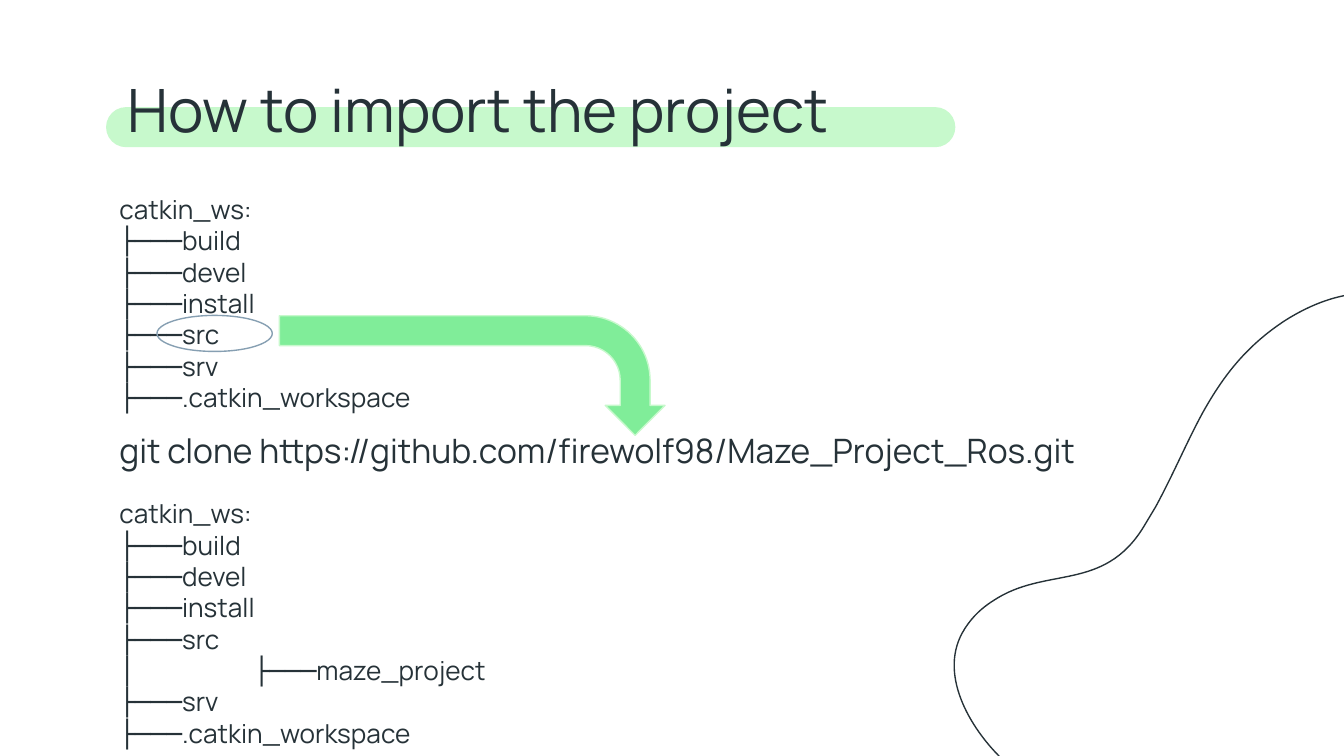
from dataclasses import dataclass

from lxml.etree import SubElement
from pptx import Presentation
from pptx.dml.color import RGBColor
from pptx.enum.shapes import MSO_SHAPE
from pptx.enum.text import MSO_ANCHOR, MSO_AUTO_SIZE, PP_ALIGN
from pptx.oxml.ns import qn
from pptx.util import Pt

FONT = "Manrope"
HEX = {"ink": "263238", "mint": "C7F9CC", "green": "80ED99", "slate": "869FB2"}
INCH = 72
FINE = 100  # outline units per point

ROOT = "catkin_ws:"
STEM = "├───"
HEAD = ["build", "devel", "install", "src"]
TAIL = ["srv", ".catkin_workspace"]


@dataclass
class Box:
    x: float
    y: float
    w: float
    h: float


@dataclass
class Block:
    box: Box
    lines: list[str]
    size: float


@dataclass
class Form:
    kind: MSO_SHAPE
    box: Box
    fill: str = ""
    line: str = ""
    turn: float = 0
    adj: tuple = ()


def tint(name: str) -> RGBColor:
    return RGBColor.from_string(HEX[name])


def place(box: Box) -> list[Pt]:
    return [Pt(v) for v in (box.x, box.y, box.w, box.h)]


def paint(shape, fill: str, line: str) -> None:
    shape.shadow.inherit = False
    if fill:
        shape.fill.solid()
        shape.fill.fore_color.rgb = tint(fill)
    else:
        shape.fill.background()
    if line:
        shape.line.color.rgb = tint(line)
        shape.line.width = Pt(0.75)
    else:
        shape.line.fill.background()


def draw(slide, form: Form) -> None:
    shape = slide.shapes.add_shape(form.kind, *place(form.box))
    for i, value in enumerate(form.adj):
        shape.adjustments[i] = value
    shape.rotation = form.turn
    paint(shape, form.fill, form.line)


def add_tab(para, pos: Pt) -> None:
    tabs = SubElement(para._p.get_or_add_pPr(), qn("a:tabLst"))
    SubElement(tabs, qn("a:tab"), pos=str(int(pos)), algn="l")


def write(shape, lines: list[str], size: float) -> None:
    frame = shape.text_frame
    frame.word_wrap = True
    frame.auto_size = MSO_AUTO_SIZE.NONE
    frame.vertical_anchor = MSO_ANCHOR.TOP
    frame.margin_left = frame.margin_right = Pt(7.2)
    frame.margin_top = frame.margin_bottom = Pt(7.2)
    for i, line in enumerate(lines):
        para = frame.paragraphs[0] if i == 0 else frame.add_paragraph()
        para.text = line
        para.alignment = PP_ALIGN.LEFT
        if "\t" in line:
            add_tab(para, Pt(INCH))
        for run in para.runs:
            run.font.name = FONT
            run.font.size = Pt(size)
            run.font.color.rgb = tint("ink")


def tree(inner: list[str]) -> list[str]:
    """List the workspace, with extra lines below src."""
    return [ROOT, *(STEM + n for n in HEAD), *inner, *(STEM + n for n in TAIL)]


def trace(slide, start: tuple, bends: list[tuple]) -> None:
    """Draw a closed outline of cubic Bezier bends given in inches."""
    dots = [start] + [b[i:i + 2] for b in bends for i in (0, 2, 4)]
    dots = [(x * INCH * FINE, y * INCH * FINE) for x, y in dots]
    pen = slide.shapes.build_freeform(*dots[0], scale=Pt(1) / FINE)
    pen.add_line_segments(dots[1:], close=True)
    shape = pen.convert_to_shape()
    # Each three straight steps become one curve
    steps = list(shape.element.iter(qn("a:lnTo")))
    for first, *rest in zip(steps[::3], steps[1::3], steps[2::3]):
        first.tag = qn("a:cubicBezTo")
        for step in rest:
            first.append(step[0])
            step.getparent().remove(step)
    paint(shape, "", "ink")


# Outline of the blob, in inches
START = (7.16, 4.71)
BENDS = [
    (7.21, 4.62, 7.28, 4.54, 7.39, 4.47),
    (7.78, 4.21, 8.21, 4.41, 8.51, 3.92),
    (8.54, 3.87, 8.57, 3.82, 8.6, 3.77),
    (8.73, 3.53, 8.83, 3.29, 8.95, 3.07),
    (9.09, 2.82, 9.26, 2.58, 9.57, 2.38),
    (10.1, 2.05, 10.53, 2.16, 10.93, 2.5),
    (11.62, 3.08, 11.61, 3.95, 11.19, 4.71),
    (11.01, 5.04, 10.76, 5.35, 10.45, 5.61),
    (9.47, 6.44, 8.28, 6.42, 7.48, 5.67),
    (7.24, 5.45, 6.98, 5.04, 7.16, 4.71),
]

PILL = Form(MSO_SHAPE.ROUNDED_RECTANGLE, Box(56.8, 57.4, 455, 21.5), "mint", adj=(0.5,))
MARKS = [
    Form(MSO_SHAPE.OVAL, Box(84.1, 169, 61.8, 19.3), line="slate"),
    Form(MSO_SHAPE.BENT_ARROW, Box(220.9, 97.9, 64.1, 206.6), "green", "mint", 90,
         (0.25, 0.25, 0.25, 0.54)),
]
BLOCKS = [
    Block(Box(56.9, 96.4, 413, 152), tree([]), 14),
    Block(Box(56.9, 223.2, 696, 36),
          ["git clone https://github.com/firewolf98/Maze_Project_Ros.git"], 18),
    Block(Box(56.9, 259.4, 413, 152), tree([f"│\t{STEM}maze_project"]), 14),
]


def main() -> None:
    deck = Presentation()
    deck.slide_width, deck.slide_height = Pt(720), Pt(405)
    slide = deck.slides.add_slide(deck.slide_layouts[5])

    # Backdrop
    draw(slide, PILL)
    trace(slide, START, BENDS)

    # Title, raised above the pill
    title = slide.shapes.title
    title.left, title.top, title.width, title.height = place(Box(61.2, 31.7, 607, 48.2))
    write(title, ["How to import the project"], 32)
    title.element.getparent().append(title.element)

    # Folder trees and command
    for block in BLOCKS:
        write(slide.shapes.add_textbox(*place(block.box)), block.lines, block.size)

    # Ring around src and arrow to the command
    for mark in MARKS:
        draw(slide, mark)

    deck.save("out.pptx")


if __name__ == "__main__":
    main()
